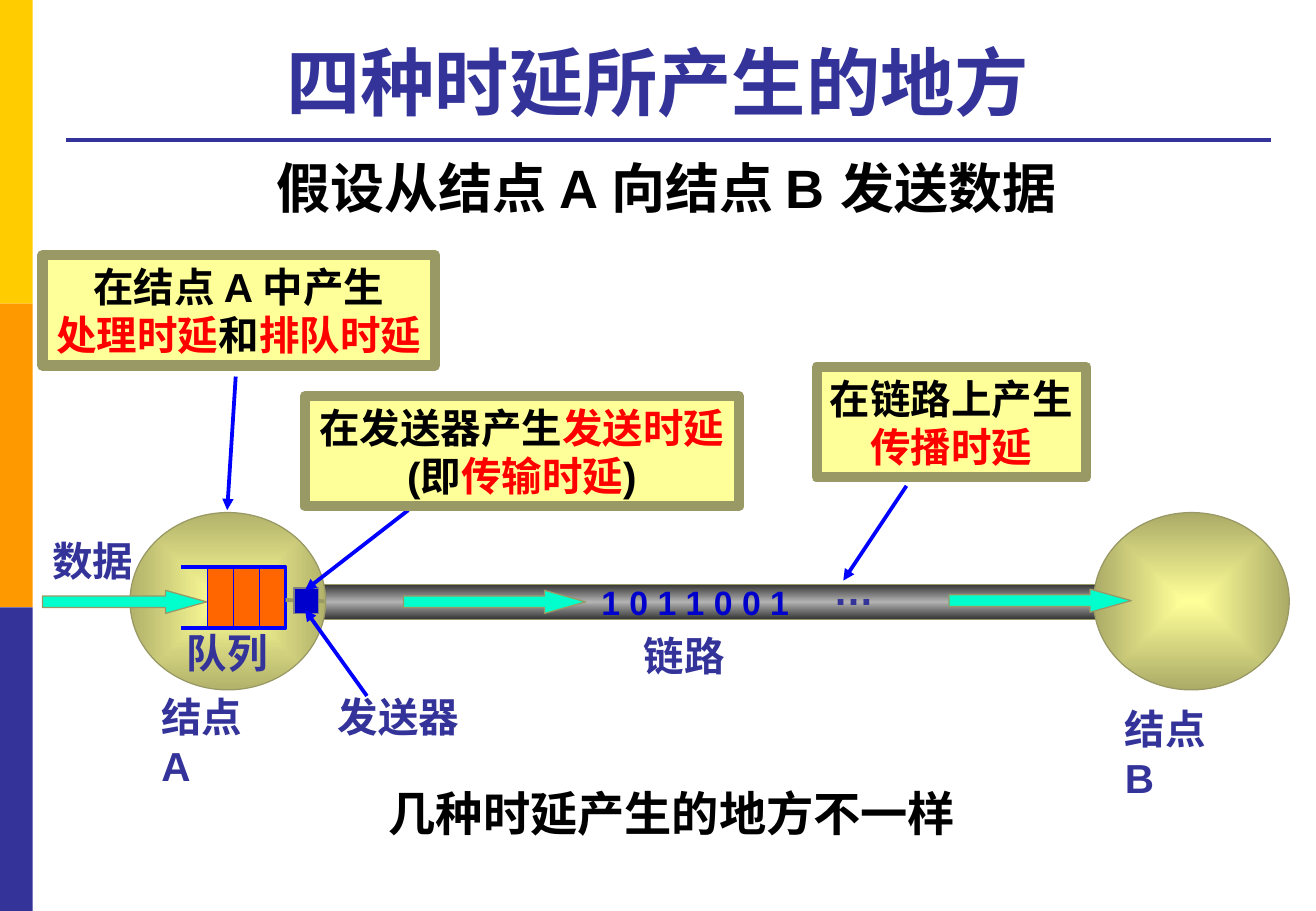
from pptx import Presentation
from pptx.dml.color import RGBColor
from pptx.enum.shapes import MSO_CONNECTOR, MSO_SHAPE
from pptx.enum.text import MSO_ANCHOR, PP_ALIGN
from pptx.oxml import parse_xml
from pptx.oxml.ns import nsdecls
from pptx.oxml.xmlchemy import OxmlElement
from pptx.util import Inches, Pt

RECT, OVAL, ARROW = MSO_SHAPE.RECTANGLE, MSO_SHAPE.OVAL, MSO_SHAPE.RIGHT_ARROW
LEFT, CENTER = PP_ALIGN.LEFT, PP_ALIGN.CENTER
TOP, MIDDLE, BOTTOM = MSO_ANCHOR.TOP, MSO_ANCHOR.MIDDLE, MSO_ANCHOR.BOTTOM
STRAIGHT = MSO_CONNECTOR.STRAIGHT

COLORS = {
    "gold": "FFCC00", "orange": "FF9900", "indigo": "333399", "black": "000000",
    "red": "FF0000", "blue": "0000FF", "navy": "0000CC", "olive": "999966",
    "cream": "FFFF99", "queue": "FF6600", "mint": "00FFCC", "gray": "808080",
    "pipe_edge": "343434", "pipe_mid": "B2B2B2", "node_a": "B2B26B", "node_b": "ABAB67",
}
LINEAR = '<a:lin ang="5400000" scaled="0"/>'
RADIAL = '<a:path path="shape"><a:fillToRect l="50000" t="50000" r="50000" b="50000"/></a:path>'


def rgb(name):
    return RGBColor.from_string(COLORS[name])


def write_text(tf, paragraphs, size=24, color="indigo", align=LEFT, anchor=TOP, wrap=False):
    """Each paragraph is a list of runs: (text, overrides of size and color)."""
    tf.word_wrap = wrap
    tf.vertical_anchor = anchor
    for i, runs in enumerate(paragraphs):
        p = tf.add_paragraph() if i else tf.paragraphs[0]
        p.alignment = align
        for text, override in runs:
            r = p.add_run()
            r.text = text
            r.font.name = "Arial"
            r.font.bold = True
            r.font.size = Pt(override.get("size", size))
            r.font.color.rgb = rgb(override.get("color", color))


class Board:
    def __init__(self, prs):
        self.slide = prs.slides.add_slide(prs.slide_layouts[6])
        self.shapes = self.slide.shapes

    def outline(self, line, color, width):
        line.color.rgb = rgb(color)
        line.width = Pt(width)

    def shape(self, kind, box, fill=None, line=None, width=0.75):
        sp = self.shapes.add_shape(kind, *map(Inches, box))
        sp.shadow.inherit = False
        if fill:
            sp.fill.solid()
            sp.fill.fore_color.rgb = rgb(fill)
        if line:
            self.outline(sp.line, line, width)
        else:
            sp.line.fill.background()
        return sp

    def gradient(self, kind, box, stops, direction):
        sp = self.shape(kind, box, line="olive")
        sp.fill.background()
        gs = "".join(f'<a:gs pos="{pos * 1000}"><a:srgbClr val="{COLORS[c]}"/></a:gs>'
                     for pos, c in stops)
        grad = parse_xml(f'<a:gradFill {nsdecls("a")} rotWithShape="1">'
                         f'<a:gsLst>{gs}</a:gsLst>{direction}</a:gradFill>')
        sp_pr = sp._element.spPr
        sp_pr.replace(sp_pr.find("{*}noFill"), grad)

    def data_arrow(self, x, y, w):
        sp = self.shape(ARROW, (x, y, w, 0.19), "mint", "olive")
        sp.adjustments[1] = 1.78

    def line(self, x1, y1, x2, y2, color="blue", width=2.25, head=False):
        cx = self.shapes.add_connector(STRAIGHT, *map(Inches, (x1, y1, x2, y2)))
        self.outline(cx.line, color, width)
        if head:
            tail = OxmlElement("a:tailEnd")
            tail.set("type", "triangle")
            cx.line._get_or_add_ln().append(tail)
        cx._element.spPr.append(OxmlElement("a:effectLst"))

    def polyline(self, points, color, width):
        fb = self.shapes.build_freeform(*map(Inches, points[0]), scale=1.0)
        fb.add_line_segments([tuple(map(Inches, pt)) for pt in points[1:]], close=False)
        sp = fb.convert_to_shape()
        sp.shadow.inherit = False
        sp.fill.background()
        self.outline(sp.line, color, width)

    def label(self, box, text, **fmt):
        runs = [(text, {})] if isinstance(text, str) else text
        write_text(self.shapes.add_textbox(*map(Inches, box)).text_frame, [runs], **fmt)

    def callout(self, box, paragraphs, pointer):
        self.line(*pointer, head=True)
        sp = self.shape(RECT, box, "cream", "olive", 6)
        write_text(sp.text_frame, paragraphs, color="black", align=CENTER, anchor=MIDDLE)


def main():
    prs = Presentation()
    prs.slide_width, prs.slide_height = Inches(10.83), Inches(7.5)
    b = Board(prs)
    red = {"color": "red"}

    for i, color in enumerate(("gold", "orange", "indigo")):
        b.shape(RECT, (0, 2.5 * i, 0.27, 2.5), color)
    b.line(0.54, 1.15, 10.46, 1.15, "indigo")
    b.label((0.54, 0.21, 9.75, 0.87), "四种时延所产生的地方", size=44,
            align=CENTER, anchor=BOTTOM, wrap=True)

    # Link and nodes
    b.gradient(RECT, (2.57, 4.81, 6.54, 0.29),
               [(0, "pipe_edge"), (50, "pipe_mid"), (100, "pipe_edge")], LINEAR)
    for x, edge in ((1.07, "node_a"), (9, "node_b")):
        b.gradient(OVAL, (x, 4.22, 1.61, 1.46), [(0, "cream"), (100, edge)], RADIAL)

    # Queue and transmitter
    left, right, top, bottom = 1.71, 2.35, 4.67, 5.17
    b.shape(RECT, (left, top, right - left, bottom - top), "queue", "blue")
    b.polyline([(1.49, top), (right, top), (right, bottom), (1.49, bottom)], "blue", 2.25)
    for i in range(3):
        x = left + i * (right - left) / 3
        b.line(x, top, x, bottom, width=0.75)
    b.line(right, 4.94, 2.67, 4.95, "olive")
    b.shape(RECT, (2.42, 4.84, 0.2, 0.21), "navy", "gray")

    for x, y, w in ((3.32, 4.86, 1.5), (0.35, 4.86, 1.35), (7.81, 4.85, 1.5)):
        b.data_arrow(x, y, w)

    # Labels
    b.label((4.85, 4.74, 1.76, 0.44), "1 0 1 1 0 0 1", size=20, color="navy")
    for x, y, w, text in ((6.76, 4.6, 0.54, "…"), (2.68, 5.65, 1.21, "发送器"),
                          (1.44, 5.12, 0.88, "队列"), (0.33, 4.36, 0.88, "数据"),
                          (5.2, 5.15, 0.88, "链路")):
        b.label((x, y, w, 0.5), text)
    for x, y, name in ((9.16, 5.75, "B"), (1.23, 5.65, "A")):
        b.label((x, y, 1.1, 0.5), [("结点", {}), (" ", {"size": 16}), (name, {})], wrap=True)

    # Where each delay arises
    b.callout((6.72, 3.02, 2.22, 0.91),
              [[("在链路上产生", {})], [("传播时延", red)]],
              (7.46, 4, 6.94, 4.78))
    b.callout((2.51, 3.26, 3.57, 0.91),
              [[("在发送器产生", {}), ("发送时延", red)],
               [("(即", {}), ("传输时延", red), (")", {})]],
              (3.36, 4.2, 2.51, 4.86))
    b.callout((0.35, 2.1, 3.23, 0.91),
              [[("在结点 A 中产生", {})],
               [("处理时延", red), ("和", {}), ("排队时延", red)]],
              (1.94, 3.1, 1.87, 4.2))
    b.line(3.02, 5.73, 2.51, 5.02, head=True)

    for box, text, size in (
            ((1.49, 1.22, 7.99, 0.64), "假设从结点 A 向结点 B 发送数据", 32),
            ((3.05, 6.41, 4.96, 0.57), "几种时延产生的地方不一样", 28)):
        b.label(box, text, size=size, color="black", align=CENTER, wrap=True)

    prs.save("out.pptx")


if __name__ == "__main__":
    main()
